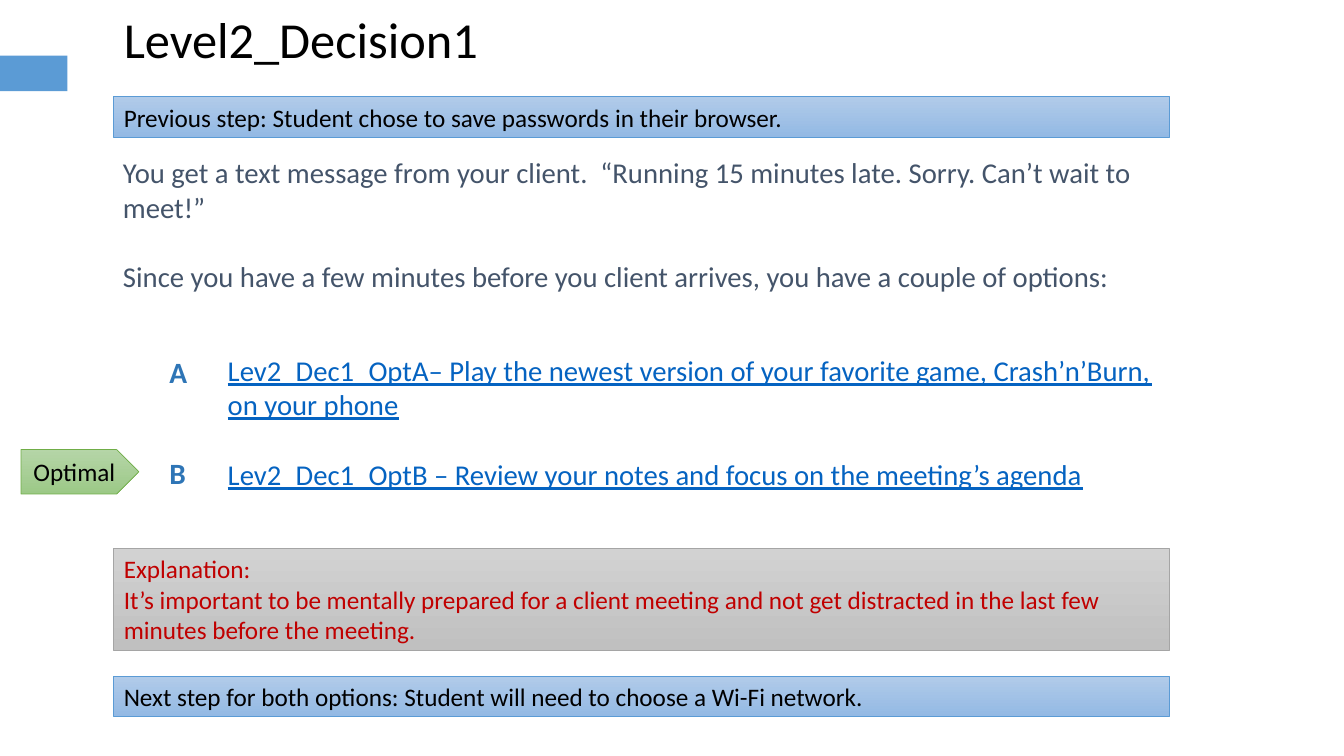
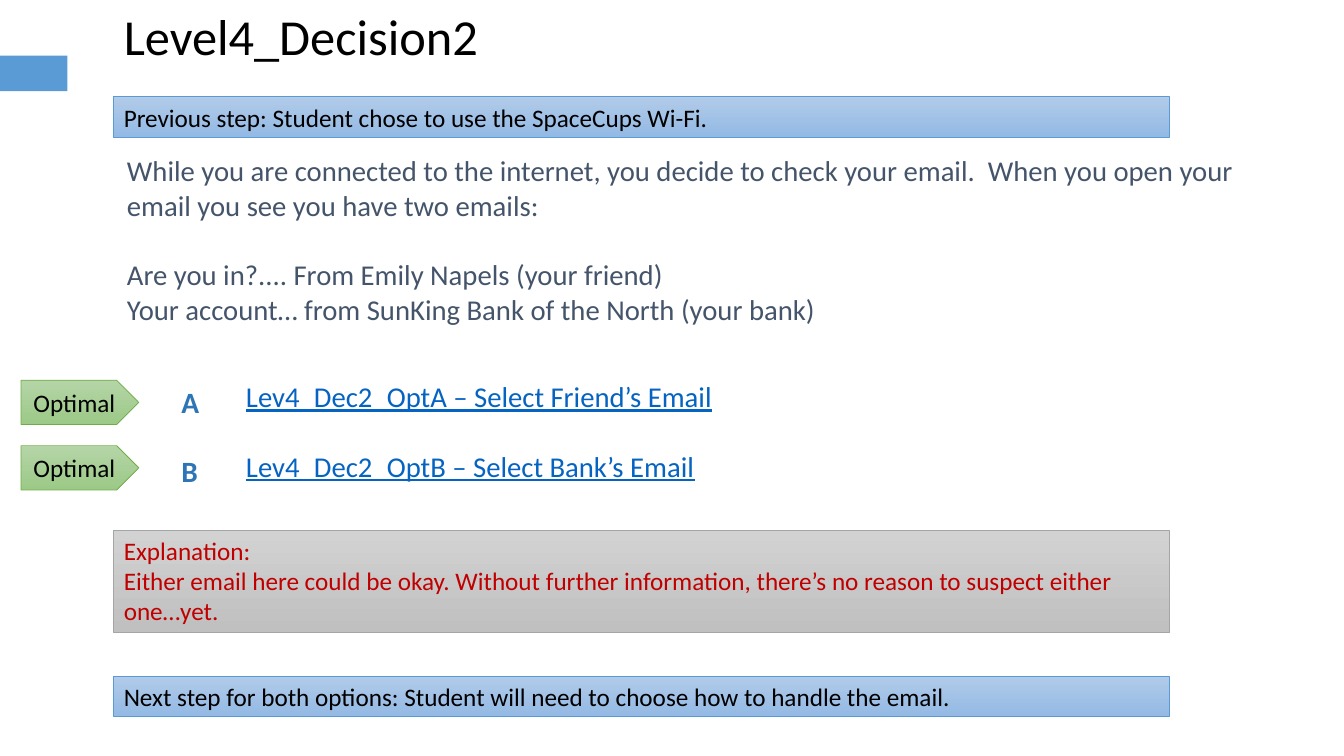
from dataclasses import dataclass

from pptx import Presentation
from pptx.dml.color import RGBColor
from pptx.enum.shapes import MSO_SHAPE
from pptx.enum.text import MSO_ANCHOR, PP_ALIGN
from pptx.util import Cm, Pt

FONT = "Calibri"
BLACK = RGBColor(0x00, 0x00, 0x00)
SLATE = RGBColor(0x44, 0x54, 0x6A)
LINK = RGBColor(0x05, 0x63, 0xC1)
LETTER = RGBColor(0x2E, 0x75, 0xB6)
RED = RGBColor(0xC0, 0x00, 0x00)
ACCENT = RGBColor(0x5B, 0x9B, 0xD5)
BLUE = (RGBColor(0xB1, 0xCB, 0xE9), RGBColor(0x93, 0xB9, 0xE4), ACCENT)
GREEN = (RGBColor(0xB5, 0xD5, 0xA7), RGBColor(0x9C, 0xC9, 0x87), RGBColor(0x70, 0xAD, 0x47))
GRAY = (RGBColor(0xD2, 0xD2, 0xD2), RGBColor(0xC0, 0xC0, 0xC0), RGBColor(0xA5, 0xA5, 0xA5))

BAND_LEFT, BAND_WIDTH, BAND_HEIGHT = 2.87, 26.59, 1.02
PREVIOUS_TOP, NEXT_TOP = 2.44, 17.04
BODY_SIZE = 20.5
BLANK_LINE = 25
NARROW_INSETS = (0.25, 0.13)
WIDE_INSETS = (0.33, 0.18)


@dataclass
class Decision:
    title: str
    title_top: float
    previous: str
    story: list
    story_box: tuple
    options: list
    options_box: tuple
    letter_left: float
    letter_tops: tuple
    optimal_tops: tuple
    explanation: str
    explanation_top: float
    following: str


def write(shape, lines, size, color, insets=NARROW_INSETS, gaps=(), bold=None,
          underline=None, align=PP_ALIGN.LEFT, anchor=MSO_ANCHOR.TOP):
    frame = shape.text_frame
    frame.word_wrap = True
    frame.vertical_anchor = anchor
    frame.margin_left = frame.margin_right = Cm(insets[0])
    frame.margin_top = frame.margin_bottom = Cm(insets[1])
    for index, line in enumerate(lines):
        paragraph = frame.add_paragraph() if index else frame.paragraphs[0]
        paragraph.text = line
        paragraph.alignment = align
        if index in gaps:
            paragraph.space_before = Pt(BLANK_LINE)
        font = paragraph.font
        font.name, font.size, font.bold, font.underline = FONT, Pt(size), bold, underline
        font.color.rgb = color


def add_text(slide, box, lines, size, color, **style):
    shape = slide.shapes.add_textbox(*map(Cm, box))
    write(shape, lines, size, color, **style)


def add_panel(slide, box, lines, palette, color=BLACK, kind=MSO_SHAPE.RECTANGLE, **style):
    shape = slide.shapes.add_shape(kind, *map(Cm, box))
    shape.shadow.inherit = False
    top_color, bottom_color, line_color = palette
    shape.fill.gradient()
    shape.fill.gradient_angle = 270
    stops = shape.fill.gradient_stops
    stops[0].color.rgb, stops[1].color.rgb = top_color, bottom_color
    shape.line.color.rgb = line_color
    shape.line.width = Pt(0.5)
    write(shape, lines, 18, color, **style)


def add_heading(slide, title, top):
    tab = slide.shapes.add_shape(MSO_SHAPE.RECTANGLE, Cm(0), Cm(1.4), Cm(1.7), Cm(0.9))
    tab.shadow.inherit = False
    tab.fill.solid()
    tab.fill.fore_color.rgb = ACCENT
    tab.line.fill.background()
    add_text(slide, (BAND_LEFT, top, 23.06, 1.8), [title], 36, BLACK)


def add_step(slide, top, text):
    add_panel(slide, (BAND_LEFT, top, BAND_WIDTH, BAND_HEIGHT), [text], BLUE)


def add_options(slide, decision):
    add_text(slide, decision.options_box, decision.options, BODY_SIZE, LINK,
             insets=WIDE_INSETS, gaps=(1,), underline=True)
    for letter, top in zip("AB", decision.letter_tops):
        add_text(slide, (decision.letter_left, top, 1.1, 1.12), [letter], 21, LETTER,
                 insets=WIDE_INSETS, bold=True)
    for top in decision.optimal_tops:
        add_panel(slide, (0.53, top, 2.97, 1.12), ["Optimal"], GREEN,
                  kind=MSO_SHAPE.PENTAGON, align=PP_ALIGN.CENTER, anchor=MSO_ANCHOR.MIDDLE)


def add_decision(presentation, decision):
    slide = presentation.slides.add_slide(presentation.slide_layouts[6])
    add_heading(slide, decision.title, decision.title_top)
    add_step(slide, PREVIOUS_TOP, "Previous step: " + decision.previous)
    add_text(slide, decision.story_box, decision.story, BODY_SIZE, SLATE,
             insets=WIDE_INSETS, gaps=(1,))
    add_options(slide, decision)
    add_panel(slide, (BAND_LEFT, decision.explanation_top, BAND_WIDTH, 2.57),
              ["Explanation:", decision.explanation], GRAY, RED)
    add_step(slide, NEXT_TOP, "Next step for both options: " + decision.following)


DECISIONS = [
    Decision(
        title="Level2_Decision1",
        title_top=0.08,
        previous="Student chose to save passwords in their browser.",
        story=[
            "You get a text message from your client.  “Running 15 minutes late. Sorry. Can’t wait to meet!”",
            "Since you have a few minutes before you client arrives, you have a couple of options:",
        ],
        story_box=(2.77, 3.73, 26.7, 4.11),
        options=[
            "Lev2_Dec1_OptA– Play the newest version of your favorite game, Crash’n’Burn, on your phone",
            "Lev2_Dec1_OptB – Review your notes and focus on the meeting’s agenda",
        ],
        options_box=(5.41, 8.71, 24.05, 3.61),
        letter_left=3.94,
        letter_tops=(8.74, 11.28),
        optimal_tops=(11.33,),
        explanation="It’s important to be mentally prepared for a client meeting and not get "
                    "distracted in the last few minutes before the meeting.",
        explanation_top=13.82,
        following="Student will need to choose a Wi-Fi network.",
    ),
    Decision(
        title="Level4_Decision2",
        title_top=0,
        previous="Student chose to use the SpaceCups Wi-Fi.",
        story=[
            "While you are connected to the internet, you decide to check your email.  "
            "When you open your email you see you have two emails:",
            "Are you in?.... From Emily Napels (your friend)",
            "Your account… from SunKing Bank of the North (your bank)",
        ],
        story_box=(2.87, 3.68, 29.95, 4.62),
        options=[
            "Lev4_Dec2_OptA – Select Friend’s Email",
            "Lev4_Dec2_OptB – Select Bank’s Email",
        ],
        options_box=(5.87, 9.37, 13.36, 3.2),
        letter_left=4.24,
        letter_tops=(9.5, 11.25),
        optimal_tops=(9.58, 11.23),
        explanation="Either email here could be okay. Without further information, there’s no "
                    "reason to suspect either one…yet.",
        explanation_top=13.36,
        following="Student will need to choose how to handle the email.",
    ),
]


def main():
    presentation = Presentation()
    presentation.slide_width = Cm(33.87)
    presentation.slide_height = Cm(19.05)
    for decision in DECISIONS:
        add_decision(presentation, decision)
    presentation.save("out.pptx")


if __name__ == "__main__":
    main()
